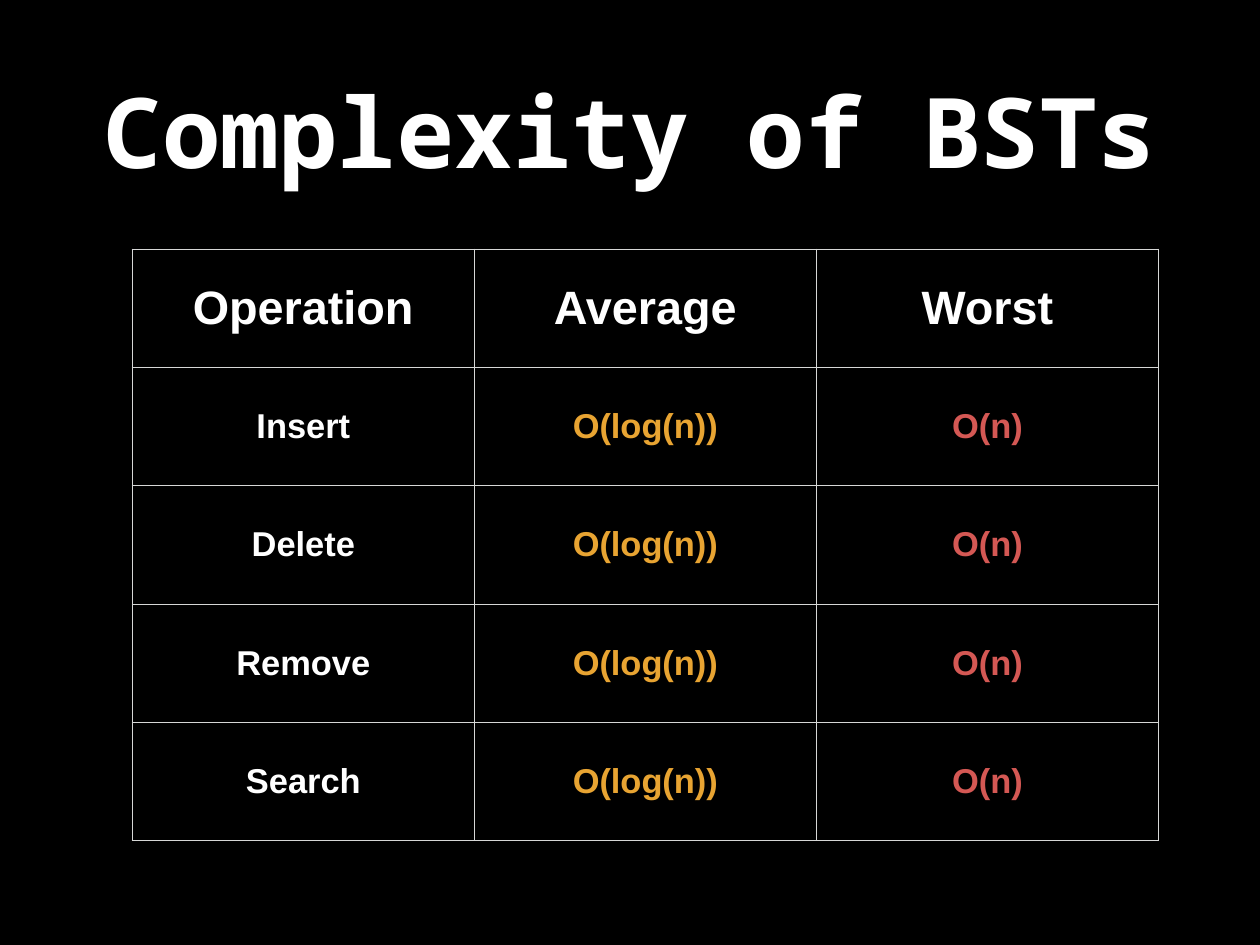
from dataclasses import dataclass

from lxml import etree
from pptx import Presentation
from pptx.dml.color import RGBColor
from pptx.enum.text import MSO_ANCHOR, PP_ALIGN
from pptx.oxml.ns import qn
from pptx.util import Pt

MIDDLE = MSO_ANCHOR.MIDDLE
CENTER = PP_ALIGN.CENTER
BLANK_LAYOUT = 6


@dataclass(frozen=True)
class Theme:
    background: str = "000000"
    text: str = "FFFFFF"
    average: str = "E8A432"
    worst: str = "D45854"
    border: str = "D6D7D6"
    title_font: str = "Noto Sans Mono"
    table_font: str = "Arial"
    title_size: float = 79.2
    header_size: float = 38
    body_size: float = 28
    border_width: float = 1
    inset: float = 4


THEME = Theme()
HEADERS = ("Operation", "Average", "Worst")
OPERATIONS = ("Insert", "Delete", "Remove", "Search")
COLUMN_COLORS = (THEME.text, THEME.average, THEME.worst)
COLUMN_WIDTH = 278
ROW_HEIGHT = 96.2


def set_margins(target):
    """Give a text frame or a table cell the same inset on every side."""
    for side in ("left", "top", "right", "bottom"):
        setattr(target, f"margin_{side}", Pt(THEME.inset))


def write_text(text_frame, text, font_name, size, color):
    paragraph = text_frame.paragraphs[0]
    paragraph.text = text
    paragraph.alignment = CENTER
    font = paragraph.font
    font.name = font_name
    font.size = Pt(size)
    font.bold = True
    font.color.rgb = RGBColor.from_string(color)


def add_title(slide, text, left, top, width, height):
    shape = slide.shapes.add_textbox(Pt(left), Pt(top), Pt(width), Pt(height))
    text_frame = shape.text_frame
    text_frame.word_wrap = True
    text_frame.vertical_anchor = MIDDLE
    set_margins(text_frame)
    write_text(text_frame, text, THEME.title_font, THEME.title_size, THEME.text)


def add_borders(cell):
    properties = cell._tc.get_or_add_tcPr()
    for tag in ("a:lnL", "a:lnR", "a:lnT", "a:lnB"):
        line = etree.SubElement(properties, qn(tag), w=str(Pt(THEME.border_width)))
        fill = etree.SubElement(line, qn("a:solidFill"))
        etree.SubElement(fill, qn("a:srgbClr"), val=THEME.border)


def style_cell(cell, text, size, color):
    cell.vertical_anchor = MIDDLE
    set_margins(cell)
    add_borders(cell)
    cell.fill.background()
    write_text(cell.text_frame, text, THEME.table_font, size, color)


def add_complexity_table(slide, left, top):
    rows = [HEADERS] + [(name, "O(log(n))", "O(n)") for name in OPERATIONS]
    table = slide.shapes.add_table(
        len(rows), len(HEADERS), Pt(left), Pt(top),
        Pt(COLUMN_WIDTH * len(HEADERS)), Pt(ROW_HEIGHT * len(rows)),
    ).table
    table.horz_banding = False
    for column in table.columns:
        column.width = Pt(COLUMN_WIDTH)
    for row_index, texts in enumerate(rows):
        table.rows[row_index].height = Pt(ROW_HEIGHT)
        is_header = row_index == 0
        size = THEME.header_size if is_header else THEME.body_size
        for column_index, text in enumerate(texts):
            color = THEME.text if is_header else COLUMN_COLORS[column_index]
            style_cell(table.cell(row_index, column_index), text, size, color)


def main():
    presentation = Presentation()
    presentation.slide_width = Pt(1024)
    presentation.slide_height = Pt(768)
    slide = presentation.slides.add_slide(presentation.slide_layouts[BLANK_LAYOUT])

    # Background
    background = slide.background.fill
    background.solid()
    background.fore_color.rgb = RGBColor.from_string(THEME.background)

    # Title
    add_title(slide, "Complexity of BSTs", 75, 20, 874, 170)

    # Table of operations
    add_complexity_table(slide, 107.5, 202.5)

    presentation.save("out.pptx")


if __name__ == "__main__":
    main()
